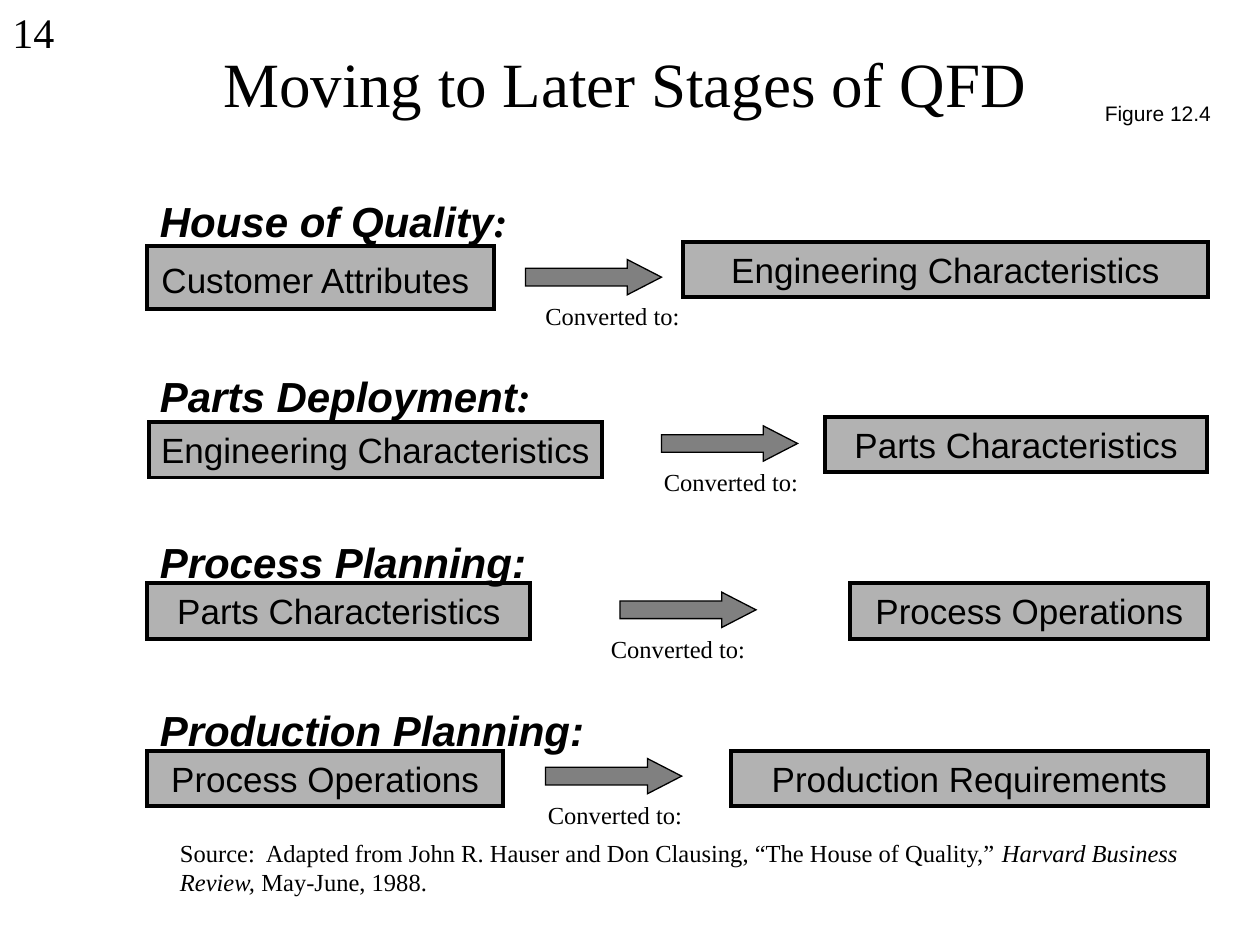
from dataclasses import dataclass

from lxml import etree
from pptx import Presentation
from pptx.dml.color import RGBColor
from pptx.enum.shapes import MSO_SHAPE
from pptx.enum.text import MSO_ANCHOR, MSO_AUTO_SIZE, PP_ALIGN
from pptx.oxml.ns import qn
from pptx.util import Inches, Pt

RECTANGLE = MSO_SHAPE.RECTANGLE
RIGHT_ARROW = MSO_SHAPE.RIGHT_ARROW
TOP, BOTTOM = MSO_ANCHOR.TOP, MSO_ANCHOR.BOTTOM
LEFT, CENTER = PP_ALIGN.LEFT, PP_ALIGN.CENTER
FIT_SHAPE, NO_FIT = MSO_AUTO_SIZE.SHAPE_TO_FIT_TEXT, MSO_AUTO_SIZE.NONE

BLACK = RGBColor(0x00, 0x00, 0x00)
BOX_GRAY = RGBColor(0xB2, 0xB2, 0xB2)
ARROW_GRAY = RGBColor(0x80, 0x80, 0x80)

SANS, SERIF = "Arial", "Times New Roman"
TITLE_FONT = {"name": SERIF, "size": Pt(36)}
NUMBER_FONT = {"name": SERIF, "size": Pt(24)}
FIGURE_FONT = {"name": SANS, "size": Pt(12)}
HEADING_FONT = {"name": SANS, "size": Pt(24), "bold": True, "italic": True}
COLON_FONT = {**HEADING_FONT, "name": SERIF}
BOX_FONT = {"name": SANS, "size": Pt(20)}
SMALL_FONT = {"name": SERIF, "size": Pt(14)}
SMALL_ITALIC_FONT = {**SMALL_FONT, "italic": True}

HEADING_LEFT = 1.17
ARROW_TOP, ARROW_PITCH = 2.06, 1.32
ARROW_WIDTH, ARROW_HEIGHT = 1.08, 0.28
CAPTION_WIDTH = 1.3


@dataclass
class Run:
    text: str
    font: dict


@dataclass
class Area:
    left: float
    top: float
    width: float
    height: float

    def lengths(self) -> list:
        return [Inches(value) for value in (self.left, self.top, self.width, self.height)]


@dataclass
class Box:
    area: Area
    runs: list[Run]
    wrap: bool = True


@dataclass
class Stage:
    heading: Box
    source: Box
    target: Box
    arrow_left: float
    caption_left: float


def box(left: float, top: float, width: float, text: str, wrap: bool = True) -> Box:
    return Box(Area(left, top, width, 0.44), [Run(text, BOX_FONT)], wrap)


def heading(top: float, width: float, *runs: Run) -> Box:
    return Box(Area(HEADING_LEFT, top, width, 0.5), list(runs), False)


STAGES = [
    Stage(
        heading(1.5, 2.98, Run("House of Quality", HEADING_FONT), Run(":", COLON_FONT)),
        Box(Area(1.17, 1.95, 2.75, 0.5),
            [Run("Customer Attributes", BOX_FONT), Run(" ", NUMBER_FONT)]),
        box(5.42, 1.92, 4.17, "Engineering Characteristics"),
        4.17, 4.23,
    ),
    Stage(
        heading(2.89, 3.18, Run("Parts Deployment", HEADING_FONT), Run(":", COLON_FONT)),
        box(1.18, 3.35, 3.6, "Engineering Characteristics", False),
        box(6.55, 3.31, 3.03, "Parts Characteristics"),
        5.25, 5.17,
    ),
    Stage(
        heading(4.21, 3.14, Run("Process Planning:", HEADING_FONT)),
        box(1.17, 4.63, 3.04, "Parts Characteristics"),
        box(6.75, 4.63, 2.84, "Process Operations"),
        4.92, 4.75,
    ),
    Stage(
        heading(5.54, 3.6, Run("Production Planning:", HEADING_FONT)),
        box(1.17, 5.96, 2.82, "Process Operations"),
        box(5.8, 5.96, 3.79, "Production Requirements"),
        4.33, 4.25,
    ),
]

LABELS = [
    Box(Area(0, 0, 0.83, 0.5), [Run("14", NUMBER_FONT)]),
    Box(Area(8.67, 0.75, 1.04, 0.3), [Run("Figure 12.4", FIGURE_FONT)], False),
    Box(Area(1.33, 6.6, 8.28, 0.57), [
        Run("Source:  Adapted from John R. Hauser and Don Clausing, “The House of Quality,” ",
            SMALL_FONT),
        Run("Harvard Business Review, ", SMALL_ITALIC_FONT),
        Run("May-June, 1988.", SMALL_FONT),
    ]),
]


def write_text(shape, content: Box, alignment=LEFT, anchor=TOP, auto_size=FIT_SHAPE) -> None:
    frame_format = {
        "word_wrap": content.wrap,
        "auto_size": auto_size,
        "vertical_anchor": anchor,
    }
    for name, value in frame_format.items():
        setattr(shape.text_frame, name, value)
    paragraph = shape.text_frame.paragraphs[0]
    paragraph.alignment = alignment
    for item in content.runs:
        run = paragraph.add_run()
        run.text = item.text
        for name, value in item.font.items():
            setattr(run.font, name, value)
        run.font.color.rgb = BLACK


def add_label(slide, content: Box) -> None:
    write_text(slide.shapes.add_textbox(*content.area.lengths()), content)


def add_filled_shape(slide, kind, area: Area, fill: RGBColor, line_width: float):
    shape = slide.shapes.add_shape(kind, *area.lengths())
    shape.shadow.inherit = False
    shape.fill.solid()
    shape.fill.fore_color.rgb = fill
    shape.line.color.rgb = BLACK
    shape.line.width = Pt(line_width)
    line = shape.element.spPr.find(qn("a:ln"))
    etree.SubElement(line, qn("a:miter"), lim="800000")
    return shape


def add_stage(slide, stage: Stage, arrow_top: float) -> None:
    for content in (stage.source, stage.target):
        shape = add_filled_shape(slide, RECTANGLE, content.area, BOX_GRAY, 2.25)
        write_text(shape, content, CENTER)
    add_label(slide, stage.heading)
    arrow_area = Area(stage.arrow_left, arrow_top, ARROW_WIDTH, ARROW_HEIGHT)
    arrow = add_filled_shape(slide, RIGHT_ARROW, arrow_area, ARROW_GRAY, 0.75)
    arrow.adjustments[1] = 0.97
    caption_area = Area(stage.caption_left, arrow_top + ARROW_HEIGHT, CAPTION_WIDTH, 0.34)
    add_label(slide, Box(caption_area, [Run("Converted to:", SMALL_FONT)], False))


def main() -> None:
    presentation = Presentation()
    presentation.slide_width = Inches(10)
    presentation.slide_height = Inches(7.5)
    slide = presentation.slides.add_slide(presentation.slide_layouts[5])

    title = slide.shapes.title
    title_box = Box(Area(1.67, 0.33, 7.08, 0.67),
                    [Run("Moving to Later Stages of QFD", TITLE_FONT)])
    title.left, title.top, title.width, title.height = title_box.area.lengths()
    write_text(title, title_box, LEFT, BOTTOM, NO_FIT)

    for label in LABELS:
        add_label(slide, label)
    for index, stage in enumerate(STAGES):
        add_stage(slide, stage, ARROW_TOP + index * ARROW_PITCH)

    presentation.save("out.pptx")


if __name__ == "__main__":
    main()
